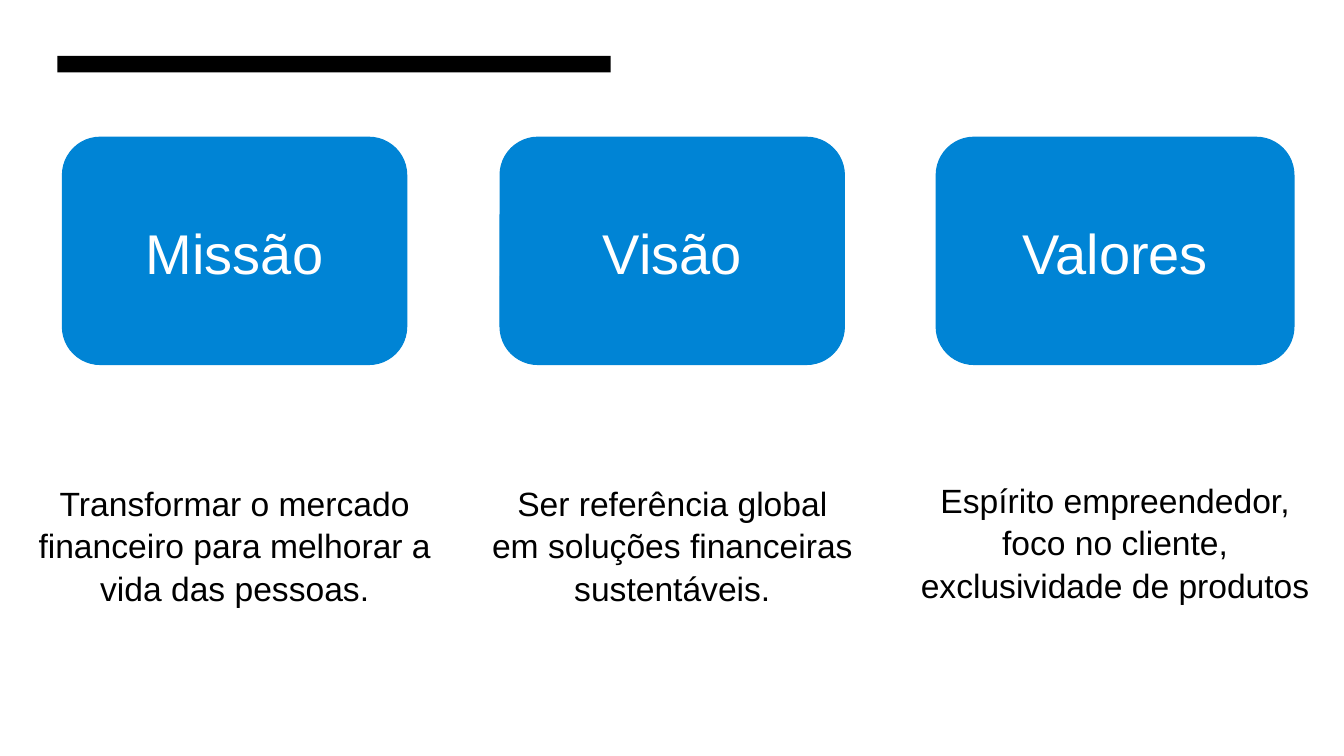
import pptx
import pptx.util
import pptx.dml.color
import pptx.enum.shapes
import pptx.enum.text

Pt = pptx.util.Pt
SHAPES = pptx.enum.shapes.MSO_SHAPE

# Content: heading, card centre and width, statement, its top and width
PILLARS = [
    {"heading": "Missão", "centre": 167.6, "card_width": 246,
     "statement": "Transformar o mercado financeiro para melhorar a vida das pessoas.",
     "top": 340, "text_width": 302.4},
    {"heading": "Visão", "centre": 480.2, "card_width": 246,
     "statement": "Ser referência global em soluções financeiras sustentáveis.",
     "top": 340, "text_width": 275},
    {"heading": "Valores", "centre": 796.5, "card_width": 255.6,
     "statement": "Espírito empreendedor, foco no cliente, exclusividade de produtos",
     "top": 337.8, "text_width": 302.4},
]

THEME = {
    "font": "Arial", "heading_size": 40, "statement_size": 24, "spacing": 1.05,
    "blue": "0084D5", "black": "000000", "white": "FFFFFF",
}
CARD_TOP, CARD_HEIGHT, TEXT_HEIGHT = 98, 162.4, 94.3


def color(name):
    return pptx.dml.color.RGBColor.from_string(THEME[name])


def write(shape, text, *, size, ink, anchor):
    frame = shape.text_frame
    frame.word_wrap = True
    frame.vertical_anchor = anchor
    para = frame.paragraphs[0]
    para.alignment = pptx.enum.text.PP_ALIGN.CENTER
    para.line_spacing = THEME["spacing"]
    span = para.add_run()
    span.text = text
    span.font.name = THEME["font"]
    span.font.size = Pt(THEME[size])
    span.font.color.rgb = color(ink)


def add_block(page, kind, left, top, width, height, *, fill, outlined=False):
    block = page.shapes.add_shape(kind, Pt(left), Pt(top), Pt(width), Pt(height))
    block.shadow.inherit = False
    block.fill.solid()
    block.fill.fore_color.rgb = color(fill)
    if outlined:
        block.line.color.rgb = color(fill)
        block.line.width = Pt(0.75)
    else:
        block.line.fill.background()
    return block


def main():
    deck = pptx.Presentation()
    deck.slide_width, deck.slide_height = Pt(960), Pt(540)
    page = deck.slides.add_slide(deck.slide_layouts[6])

    # Black bar at the top
    add_block(page, SHAPES.RECTANGLE, 41, 40, 395.3, 11.7, fill="black")

    # One card and one statement per pillar, on a shared centre
    for pillar in PILLARS:
        width = pillar["card_width"]
        card = add_block(page, SHAPES.ROUNDED_RECTANGLE, pillar["centre"] - width / 2,
                         CARD_TOP, width, CARD_HEIGHT, fill="blue", outlined=True)
        write(card, pillar["heading"], size="heading_size", ink="white",
              anchor=pptx.enum.text.MSO_ANCHOR.MIDDLE)

        width = pillar["text_width"]
        box = page.shapes.add_textbox(Pt(pillar["centre"] - width / 2), Pt(pillar["top"]),
                                      Pt(width), Pt(TEXT_HEIGHT))
        write(box, pillar["statement"], size="statement_size", ink="black",
              anchor=pptx.enum.text.MSO_ANCHOR.TOP)
        box.text_frame.auto_size = pptx.enum.text.MSO_AUTO_SIZE.SHAPE_TO_FIT_TEXT

    deck.save("out.pptx")


if __name__ == "__main__":
    main()
